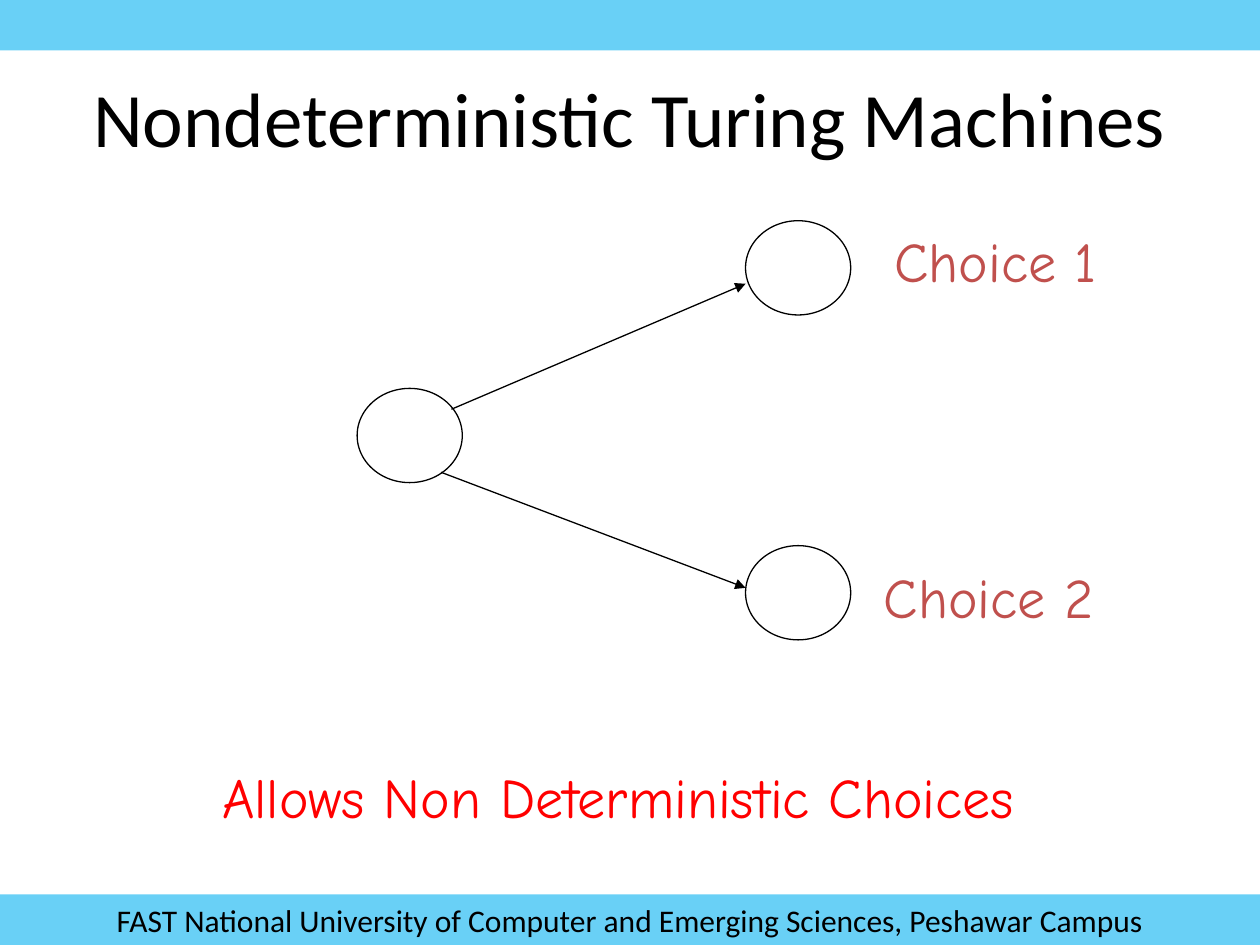
from lxml import etree
from pptx import Presentation
from pptx.dml.color import RGBColor
from pptx.enum.shapes import MSO_CONNECTOR, MSO_SHAPE
from pptx.enum.text import MSO_ANCHOR, PP_ALIGN
from pptx.oxml.ns import qn
from pptx.util import Cm, Pt

RECTANGLE = MSO_SHAPE.RECTANGLE
OVAL = MSO_SHAPE.OVAL
STRAIGHT = MSO_CONNECTOR.STRAIGHT
MIDDLE = MSO_ANCHOR.MIDDLE
TOP = MSO_ANCHOR.TOP
CENTER = PP_ALIGN.CENTER
LEFT = PP_ALIGN.LEFT

SLIDE_WIDTH, SLIDE_HEIGHT = 25.4, 19.05
BAR_HEIGHT = 1.02
STATE_WIDTH, STATE_HEIGHT = 2.12, 1.9
CHOICE_LEFT = 15.03
BLACK = "000000"
RED = "FF0000"
BRICK = "C0504D"
SKY = "00B0F0"


def color(hex_string):
    return RGBColor.from_string(hex_string)


def write_text(shape, text, font_name, size, font_color, alignment, anchor):
    text_frame = shape.text_frame
    text_frame.word_wrap = True
    text_frame.vertical_anchor = anchor
    text_frame.text = text
    paragraph = text_frame.paragraphs[0]
    paragraph.alignment = alignment
    font = paragraph.runs[0].font
    font.name = font_name
    font.size = Pt(size)
    font.color.rgb = color(font_color)


def add_bar(slide, top):
    """Add a translucent full-width band."""
    bar = slide.shapes.add_shape(
        RECTANGLE, 0, Cm(top), Cm(SLIDE_WIDTH), Cm(BAR_HEIGHT))
    bar.shadow.inherit = False
    bar.line.fill.background()
    bar.fill.solid()
    bar.fill.fore_color.rgb = color(SKY)
    fill_color = bar.fill._xPr.find(qn("a:solidFill"))[0]
    etree.SubElement(fill_color, qn("a:alpha"), val="59000")
    return bar


def add_label(slide, text, left, top, width, height, font_name="Comic Neue",
              size=32, font_color=BRICK, alignment=LEFT, anchor=TOP):
    box = slide.shapes.add_textbox(Cm(left), Cm(top), Cm(width), Cm(height))
    write_text(box, text, font_name, size, font_color, alignment, anchor)


def add_state(slide, left, top):
    state = slide.shapes.add_shape(
        OVAL, Cm(left), Cm(top), Cm(STATE_WIDTH), Cm(STATE_HEIGHT))
    state.shadow.inherit = False
    state.fill.background()
    state.line.color.rgb = color(BLACK)
    state.line.width = Pt(0.75)


def add_arrow(slide, start, end):
    arrow = slide.shapes.add_connector(
        STRAIGHT, *(Cm(value) for value in start + end))
    arrow.line.color.rgb = color(BLACK)
    arrow.line.width = Pt(0.75)
    etree.SubElement(arrow.line._get_or_add_ln(), qn("a:tailEnd"),
                     type="triangle")
    etree.SubElement(arrow._element.spPr, qn("a:effectLst"))


def main():
    presentation = Presentation()
    presentation.slide_width = Cm(SLIDE_WIDTH)
    presentation.slide_height = Cm(SLIDE_HEIGHT)
    slide = presentation.slides.add_slide(presentation.slide_layouts[6])

    add_bar(slide, 0)
    footer = add_bar(slide, SLIDE_HEIGHT - BAR_HEIGHT)
    write_text(
        footer,
        "FAST National University of Computer and Emerging Sciences, "
        "Peshawar Campus",
        "Calibri", 18, BLACK, CENTER, MIDDLE)
    add_label(slide, "Nondeterministic Turing Machines", 1.27, 0.76, 22.86,
              3.18, "Calibri", 44, BLACK, CENTER, MIDDLE)

    add_state(slide, 7.2, 7.83)
    add_arrow(slide, (9.1, 8.25), (CHOICE_LEFT, 5.72))
    add_arrow(slide, (8.89, 9.52), (CHOICE_LEFT, 11.85))
    for top in (4.45, 11.0):
        add_state(slide, CHOICE_LEFT, top)

    add_label(slide, "Allows Non Deterministic Choices", 4.23, 15.24, 18.18,
              1.6, font_color=RED)
    add_label(slide, "Choice 1", 17.78, 4.45, 4.8, 1.6)
    add_label(slide, "Choice 2", 17.57, 11.22, 4.98, 1.6)

    presentation.save("out.pptx")


if __name__ == "__main__":
    main()
